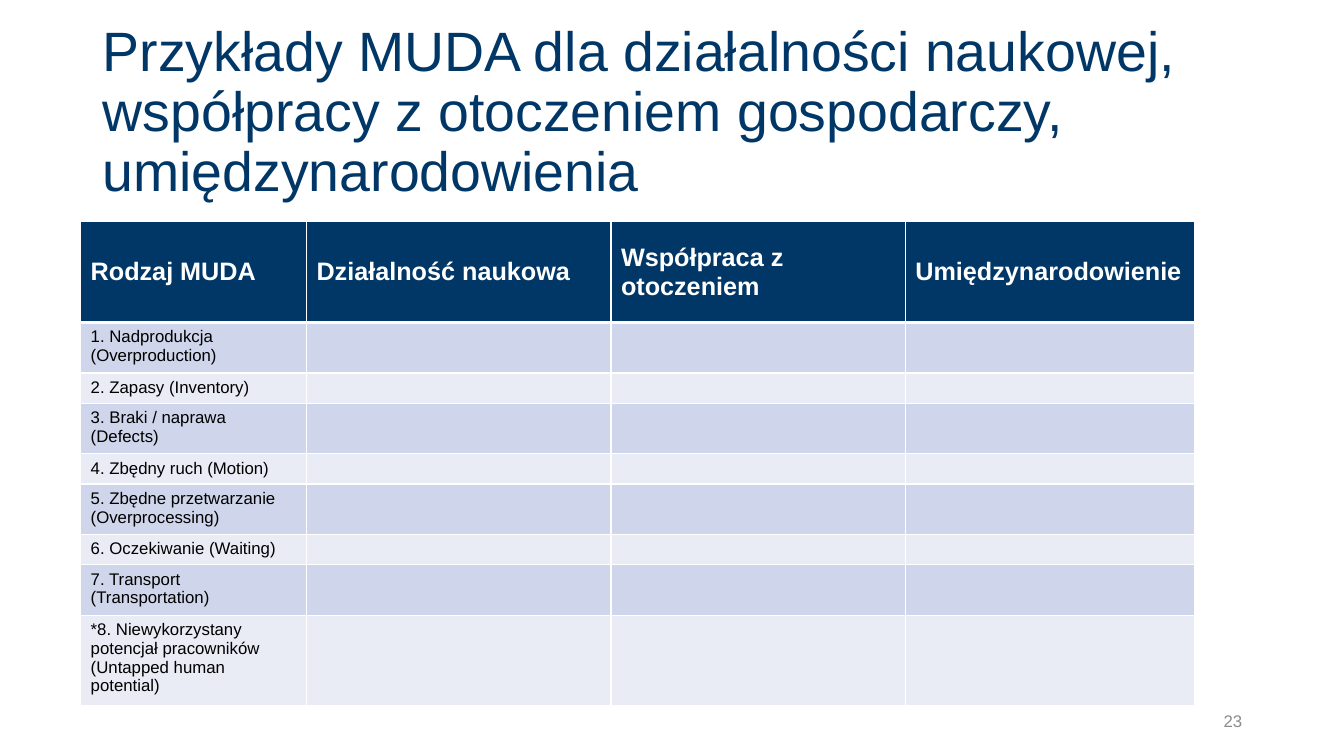
from pptx import Presentation
from pptx.dml.color import RGBColor
from pptx.enum.text import MSO_ANCHOR as Anchor, PP_ALIGN as Align
from pptx.oxml import parse_xml
from pptx.oxml.ns import nsdecls
from pptx.util import Inches, Pt

FONT = "Arial"
NAVY, WHITE, BLACK, GREY = "003767", "FFFFFF", "000000", "8C8C8C"
BANDS = ["CFD5EA", "E9EBF5"]
TITLE = ("Przykłady MUDA dla działalności naukowej, współpracy z otoczeniem "
         "gospodarczy, umiędzynarodowienia")
HEADERS = ["Rodzaj MUDA", "Działalność naukowa", "Współpraca z otoczeniem",
           "Umiędzynarodowienie"]
COLUMN_SHARES = [2.24, 3.02, 2.92, 2.87]
WASTES = [
    ("1. Nadprodukcja (Overproduction)", 2),
    ("2. Zapasy (Inventory)", 1),
    ("3. Braki / naprawa (Defects)", 2),
    ("4. Zbędny ruch (Motion)", 1),
    ("5. Zbędne przetwarzanie (Overprocessing)", 2),
    ("6. Oczekiwanie (Waiting)", 1),
    ("7. Transport (Transportation)", 2),
    ("*8. Niewykorzystany potencjał pracowników (Untapped human potential)", 4),
]
HEADER_HEIGHT, LINE_HEIGHT, CELL_PADDING = 1, 0.19, 0.1


def color(value):
    """Turn a hex string into a colour."""
    return RGBColor.from_string(value)


def write(text_frame, text, size, hex_color, bold=False):
    """Set the text, format its runs and return the paragraph."""
    text_frame.text = text
    paragraph = text_frame.paragraphs[0]
    for run in paragraph.runs:
        run.font.name, run.font.size, run.font.bold = FONT, Pt(size), bold
        run.font.color.rgb = color(hex_color)
    if not text:
        paragraph._p.get_or_add_endParaRPr().set("sz", str(size * 100))
    return paragraph


def add_text(slide, box, text, size, hex_color):
    """Add a wrapped, vertically centred text box and return its paragraph."""
    text_frame = slide.shapes.add_textbox(*map(Inches, box)).text_frame
    text_frame.word_wrap = True
    text_frame.vertical_anchor = Anchor.MIDDLE
    return write(text_frame, text, size, hex_color)


def add_title(slide, box):
    """Add the slide title."""
    add_text(slide, box, TITLE, 39.6, NAVY).line_spacing = 0.9


def add_page_number(slide, box):
    """Add the right-aligned page number."""
    add_text(slide, box, "23", 12, GREY).alignment = Align.RIGHT


def style_cell(cell, fill, bottom_width):
    """Fill a cell and give it white borders."""
    cell.fill.solid()
    cell.fill.fore_color.rgb = color(fill)
    borders = {"lnL": 1, "lnR": 1, "lnT": 1, "lnB": bottom_width}
    for index, (tag, width) in enumerate(borders.items()):
        cell._tc.get_or_add_tcPr().insert(index, parse_xml(
            f'<a:{tag} {nsdecls("a")} w="{Pt(width)}"><a:solidFill>'
            f'<a:srgbClr val="{WHITE}"/></a:solidFill></a:{tag}>'))


def add_waste_table(slide, box):
    """Add the table of waste types with empty columns to fill in."""
    heights = [HEADER_HEIGHT] + [lines * LINE_HEIGHT + CELL_PADDING
                                 for _, lines in WASTES]
    left, top, width = box
    table = slide.shapes.add_table(
        len(heights), len(HEADERS),
        *map(Inches, (left, top, width, sum(heights)))).table
    for column, share in zip(table.columns, COLUMN_SHARES):
        column.width = Inches(width * share / sum(COLUMN_SHARES))
    for row, height in zip(table.rows, heights):
        row.height = Inches(height)
    for cell, header in zip(table.rows[0].cells, HEADERS):
        write(cell.text_frame, header, 18, WHITE, bold=True)
        cell.vertical_anchor = Anchor.MIDDLE
        style_cell(cell, NAVY, 3)
    for index, (waste, _) in enumerate(WASTES):
        for column, cell in enumerate(table.rows[index + 1].cells):
            write(cell.text_frame, "" if column else waste, 12, BLACK)
            style_cell(cell, BANDS[index % 2], 1)


def main():
    """Build and save the slide."""
    presentation = Presentation()
    presentation.slide_width = Inches(13.33)
    presentation.slide_height = Inches(7.5)
    slide = presentation.slides.add_slide(presentation.slide_layouts[6])
    add_title(slide, (0.92, 0.4, 11.5, 1.45))
    add_page_number(slide, (9.42, 6.95, 3, 0.4))
    add_waste_table(slide, (0.8, 2.2, 11.05))
    presentation.save("out.pptx")


if __name__ == "__main__":
    main()
